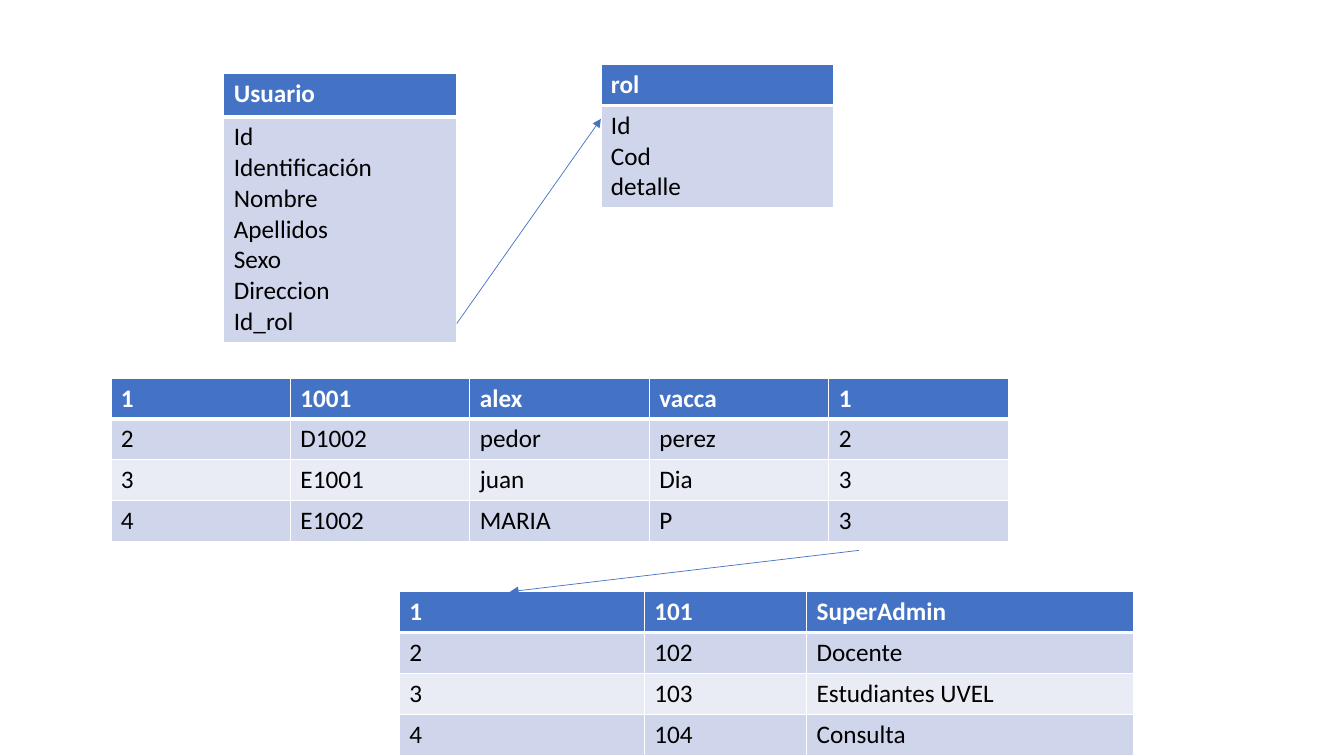
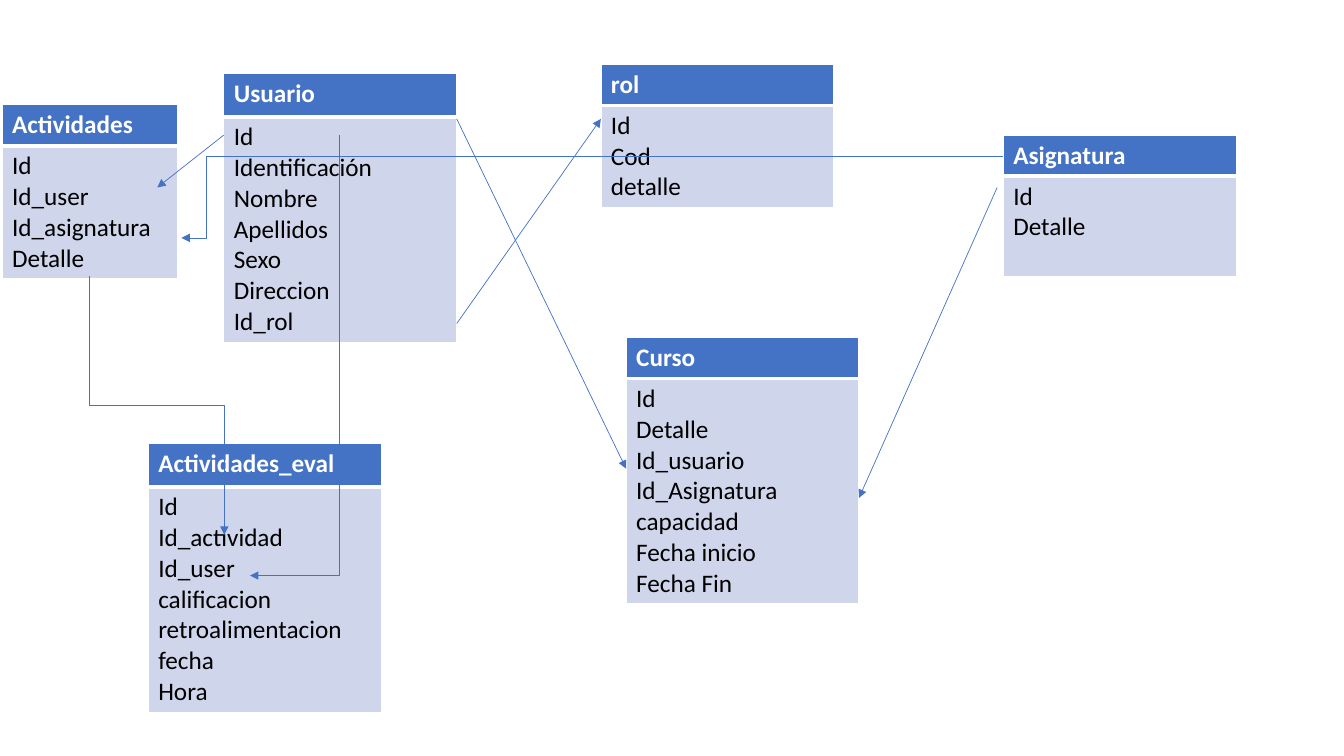
import pptx
import pptx.dml.color
import pptx.enum.shapes
import pptx.oxml
import pptx.oxml.ns
import pptx.util
from pptx.util import Inches

BLUE = "4472C4"
WHITE = "FFFFFF"
BLACK = "000000"
BANDS = ["CFD5EA", "E9EBF5"]
FONT = "Calibri"
NAMESPACE = pptx.oxml.ns.nsdecls("a")
STRAIGHT = pptx.enum.shapes.MSO_CONNECTOR.STRAIGHT
ELBOW = pptx.enum.shapes.MSO_CONNECTOR.ELBOW
color = pptx.dml.color.RGBColor.from_string


def draw_table(page, left, top, widths, heights, rows):
    frame = page.shapes.add_table(
        len(rows), len(widths), Inches(left), Inches(top),
        Inches(sum(widths)), Inches(sum(heights)))
    table = frame.table
    for column, width in zip(table.columns, widths):
        column.width = Inches(width)
    for index, (height, texts) in enumerate(zip(heights, rows)):
        header = index == 0
        table.rows[index].height = Inches(height)
        for cell, text in zip(table.rows[index].cells, texts):
            cell.fill.solid()
            cell.fill.fore_color.rgb = color(BLUE if header else BANDS[(index - 1) % 2])
            properties = cell._tc.get_or_add_tcPr()
            for position, side in enumerate("LRTB"):
                thick = (header and side == "B") or (index == 1 and side == "T")
                properties.insert(position, pptx.oxml.parse_xml(
                    f'<a:ln{side} {NAMESPACE} w="{pptx.util.Pt(3 if thick else 1)}">'
                    f'<a:solidFill><a:srgbClr val="{WHITE}"/></a:solidFill></a:ln{side}>'))
            cell.text_frame.text = text
            for para in cell.text_frame.paragraphs:
                for span in para.runs:
                    span.font.name = FONT
                    span.font.size = pptx.util.Pt(18)
                    span.font.bold = header
                    span.font.color.rgb = color(WHITE if header else BLACK)


def draw_arrow(page, kind, start, end, bend=None, turn=0):
    arrow = page.shapes.add_connector(kind, *[Inches(value) for value in start + end])
    arrow.line.color.rgb = color(BLUE)
    arrow.line.width = pptx.util.Pt(0.5)
    arrow.line._get_or_add_ln().append(
        pptx.oxml.parse_xml(f'<a:tailEnd {NAMESPACE} type="triangle"/>'))
    properties = arrow._element.spPr
    properties.append(pptx.oxml.parse_xml(f"<a:effectLst {NAMESPACE}/>"))
    if bend:
        geometry = properties.find(pptx.oxml.ns.qn("a:prstGeom"))
        geometry.find(pptx.oxml.ns.qn("a:avLst")).append(pptx.oxml.parse_xml(
            f'<a:gd {NAMESPACE} name="adj1" fmla="val {round(bend * 100000)}"/>'))
    if turn:
        properties.xfrm.set("rot", str(turn * 60000))


deck = pptx.Presentation()
deck.slide_width = Inches(13.33)
deck.slide_height = Inches(7.5)
records_page, model_page = [deck.slides.add_slide(deck.slide_layouts[6]) for _ in range(2)]

shared_entities = [
    ("Usuario", 2.22, 0.73, 2.31, 0.43, 2.2,
     ["Id", "Identificación", "Nombre", "Apellidos", "Sexo", "Direccion", "Id_rol"]),
    ("rol", 5.96, 0.64, 2.31, 0.4, 1.0, ["Id", "Cod", "detalle"]),
]
model_entities = [
    ("Curso", 6.21, 3.35, 2.31, 0.4, 2.2,
     ["Id", "Detalle", "Id_usuario", "Id_Asignatura", "capacidad",
      "Fecha inicio", "Fecha Fin"]),
    ("Asignatura", 9.95, 1.34, 2.31, 0.4, 1.0, ["Id", "Detalle"]),
    ("Actividades", 0.02, 1.04, 1.74, 0.4, 1.3,
     ["Id", "Id_user", "Id_asignatura", "Detalle"]),
    ("Actividades_eval", 1.47, 4.4, 2.31, 0.43, 2.2,
     ["Id", "Id_actividad", "Id_user", "calificacion", "retroalimentacion",
      "fecha", "Hora"]),
]
for page, entities in [
    (records_page, shared_entities),
    (model_page, shared_entities + model_entities),
]:
    for name, left, top, width, header_height, body_height, fields in entities:
        draw_table(page, left, top, [width], [header_height, body_height],
                   [[name], ["\n".join(fields)]])
    draw_arrow(page, STRAIGHT, (4.53, 3.21), (5.96, 1.18))

record_heights = [0.4] * 4
draw_table(records_page, 1.1, 3.75, [1.78] * 5, record_heights, [
    ["1", "1001", "alex", "vacca", "1"],
    ["2", "D1002", "pedor", "perez", "2"],
    ["3", "E1001", "juan", "Dia", "3"],
    ["4", "E1002", "MARIA", "P", "3"],
])
draw_table(records_page, 3.96, 5.87, [2.43, 1.61, 3.24], record_heights, [
    ["1", "101", "SuperAdmin"],
    ["2", "102", "Docente"],
    ["3", "103", "Estudiantes UVEL"],
    ["4", "104", "Consulta"],
])
draw_arrow(records_page, STRAIGHT, (8.52, 5.46), (5.06, 5.87))

for start, end in [
    ((4.53, 1.18), (6.21, 4.65)),
    ((9.89, 1.86), (8.52, 4.94)),
    ((2.22, 1.34), (1.56, 1.86)),
]:
    draw_arrow(model_page, STRAIGHT, start, end)

for start, end, bend, turn in [
    ((2.84, 3.35), (0.27, 4.69), 0.5, 270),
    ((0.74, 3.08), (5.11, 3.97), 1, 90),
    ((9.95, 1.55), (1.8, 2.36), 0.97, 0),
]:
    draw_arrow(model_page, ELBOW, start, end, bend, turn)

deck.save("out.pptx")
